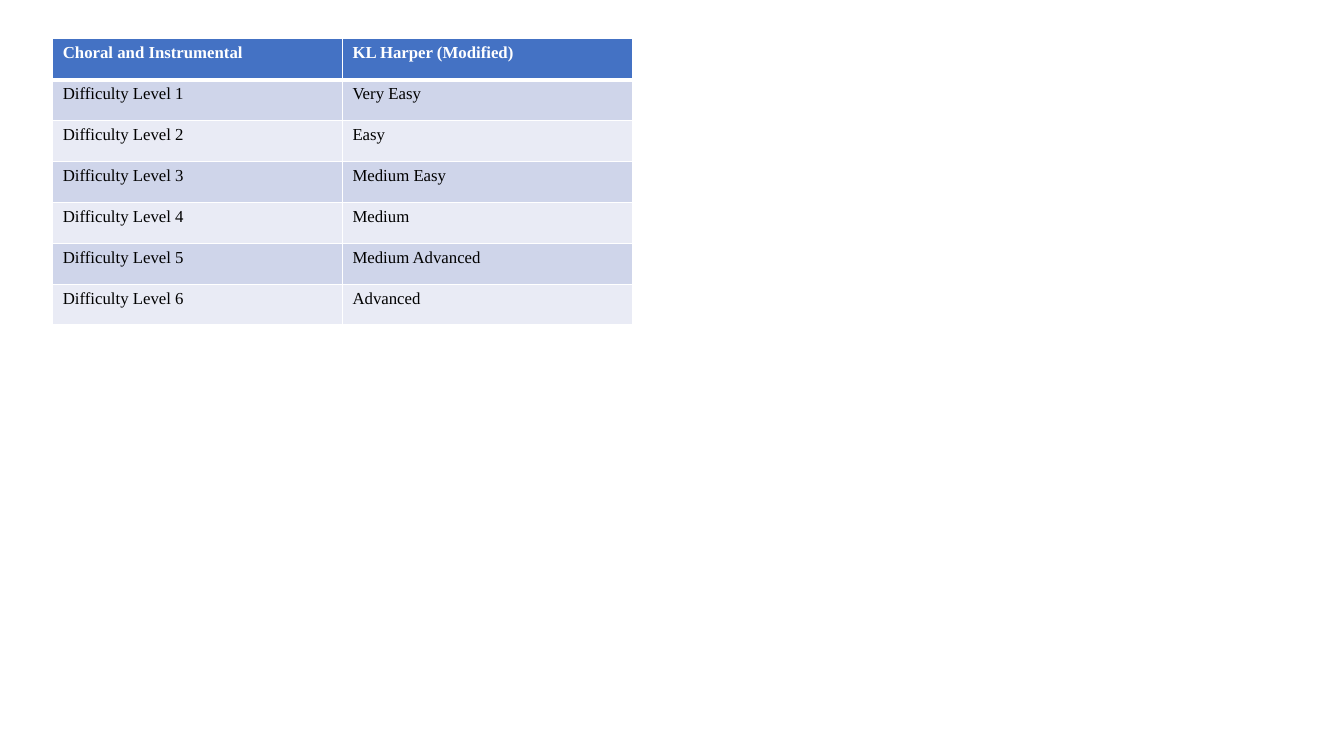
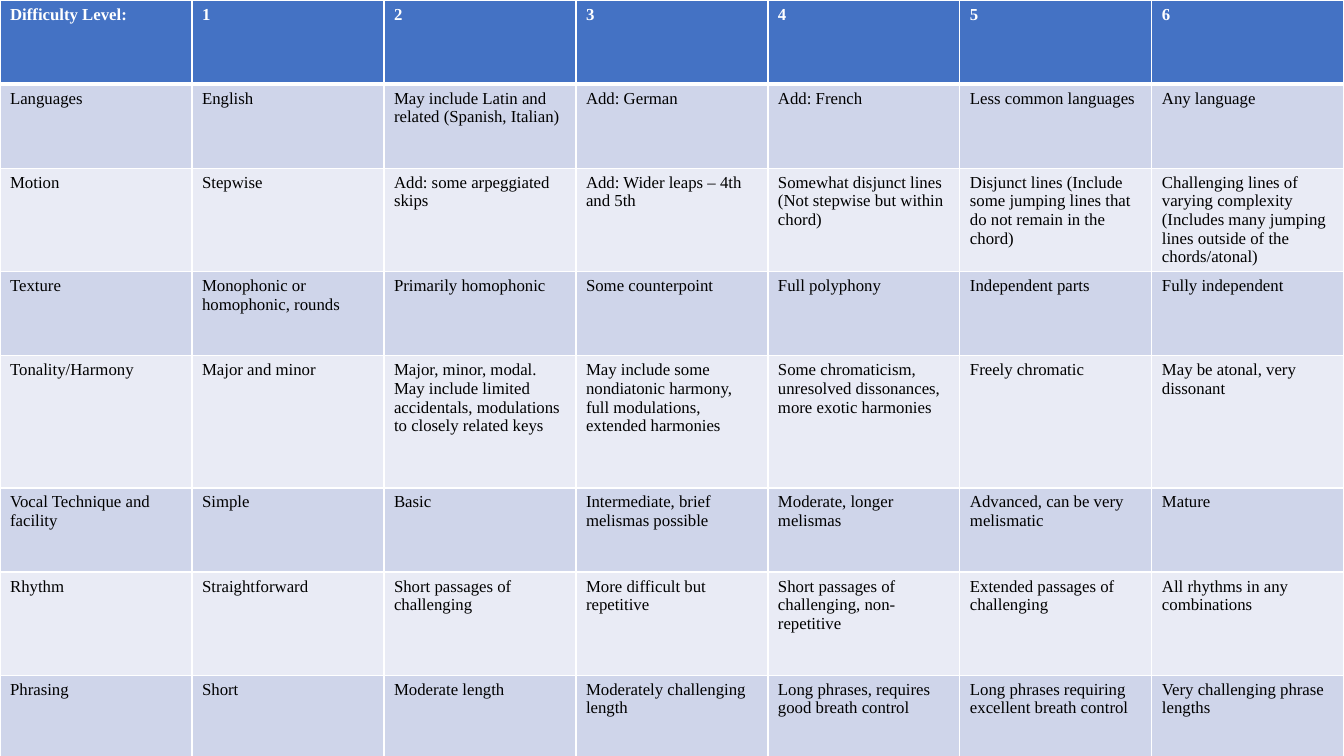
from dataclasses import dataclass

from lxml import etree
from pptx import Presentation
from pptx import util as u
from pptx.dml import color
from pptx.oxml import ns


@dataclass(frozen=True)
class Theme:
    font: str = "Times New Roman"
    size: int = 12
    header_fill: str = "4472C4"
    header_text: str = "FFFFFF"
    bands: tuple = ("CFD5EA", "E9EBF5")
    body_text: str = "000000"
    rule: str = "FFFFFF"
    thin: int = 1
    thick: int = 3


class Deck:
    """Holds the style and the current slide, and draws its tables."""

    def __init__(self, theme):
        self.theme = theme
        self.show = Presentation()
        self.show.slide_width = u.Cm(33.87)
        self.show.slide_height = u.Cm(19.05)
        self.slide = None

    def new_slide(self):
        self.slide = self.show.slides.add_slide(self.show.slide_layouts[6])

    def table(self, left, top, width, heights, content):
        columns = len(content[0])
        grid = self.slide.shapes.add_table(
            len(content), columns, u.Cm(left), u.Cm(top), u.Cm(width), u.Cm(sum(heights))
        ).table
        for column in grid.columns:
            column.width = u.Cm(width / columns)
        for row, height in zip(grid.rows, heights):
            row.height = u.Cm(height)
        for r, entries in enumerate(content):
            for c, words in enumerate(entries):
                self.cell(grid.cell(r, c), words, r)

    def cell(self, cell, words, row):
        theme = self.theme
        header = row == 0
        fill = theme.header_fill if header else theme.bands[(row - 1) % 2]
        cell.fill.solid()
        cell.fill.fore_color.rgb = color.RGBColor.from_string(fill)
        run = cell.text_frame.paragraphs[0].add_run()
        run.text = words
        run.font.name = theme.font
        run.font.size = u.Pt(theme.size)
        run.font.bold = header
        ink = theme.header_text if header else theme.body_text
        run.font.color.rgb = color.RGBColor.from_string(ink)
        self.borders(cell, row)

    def borders(self, cell, row):
        theme = self.theme
        thick_side = {0: "lnB", 1: "lnT"}.get(row)
        properties = cell._tc.get_or_add_tcPr()
        for position, side in enumerate(("lnL", "lnR", "lnT", "lnB")):
            weight = theme.thick if side == thick_side else theme.thin
            line = etree.Element(ns.qn(f"a:{side}"), w=str(u.Pt(weight)))
            solid = etree.SubElement(line, ns.qn("a:solidFill"))
            etree.SubElement(solid, ns.qn("a:srgbClr"), val=theme.rule)
            properties.insert(position, line)


GRADES = ["Very Easy", "Easy", "Medium Easy", "Medium", "Medium Advanced", "Advanced"]

CRITERIA = [
    ["Languages", "English", "May include Latin and related (Spanish, Italian)",
     "Add: German", "Add: French", "Less common languages", "Any language"],
    ["Motion", "Stepwise", "Add: some arpeggiated skips",
     "Add: Wider leaps – 4th and 5th",
     "Somewhat disjunct lines (Not stepwise but within chord)",
     "Disjunct lines (Include some jumping lines that do not remain in the chord)",
     "Challenging lines of varying complexity (Includes many jumping lines "
     "outside of the chords/atonal)"],
    ["Texture", "Monophonic or homophonic, rounds", "Primarily homophonic",
     "Some counterpoint", "Full polyphony", "Independent parts", "Fully independent"],
    ["Tonality/Harmony", "Major and minor",
     "Major, minor, modal. May include limited accidentals, modulations "
     "to closely related keys",
     "May include some nondiatonic harmony, full modulations, extended harmonies",
     "Some chromaticism, unresolved dissonances, more exotic harmonies",
     "Freely chromatic", "May be atonal, very dissonant"],
    ["Vocal Technique and facility", "Simple", "Basic",
     "Intermediate, brief melismas possible", "Moderate, longer melismas",
     "Advanced, can be very melismatic", "Mature"],
    ["Rhythm", "Straightforward", "Short passages of challenging",
     "More difficult but repetitive", "Short passages of challenging, non-repetitive",
     "Extended passages of challenging", "All rhythms in any combinations"],
    ["Phrasing", "Short", "Moderate length", "Moderately challenging length",
     "Long phrases, requires good breath control",
     "Long phrases requiring excellent breath control",
     "Very challenging phrase lengths"],
]


def main():
    deck = Deck(Theme())

    deck.new_slide()
    scale = [["Choral and Instrumental", "KL Harper (Modified)"]]
    scale += [[f"Difficulty Level {n}", grade] for n, grade in enumerate(GRADES, 1)]
    deck.table(1.33, 0.98, 14.6, [1.03] * len(scale), scale)

    deck.new_slide()
    levels = ["Difficulty Level:"] + [str(n) for n in range(1, len(GRADES) + 1)]
    normal, tall, tallest = 2.12, 2.6, 3.33
    heights = [normal, normal, tall, normal, tallest, normal, tall, normal]
    deck.table(0, 0, 33.87, heights, [levels] + CRITERIA)

    deck.show.save("out.pptx")


if __name__ == "__main__":
    main()
